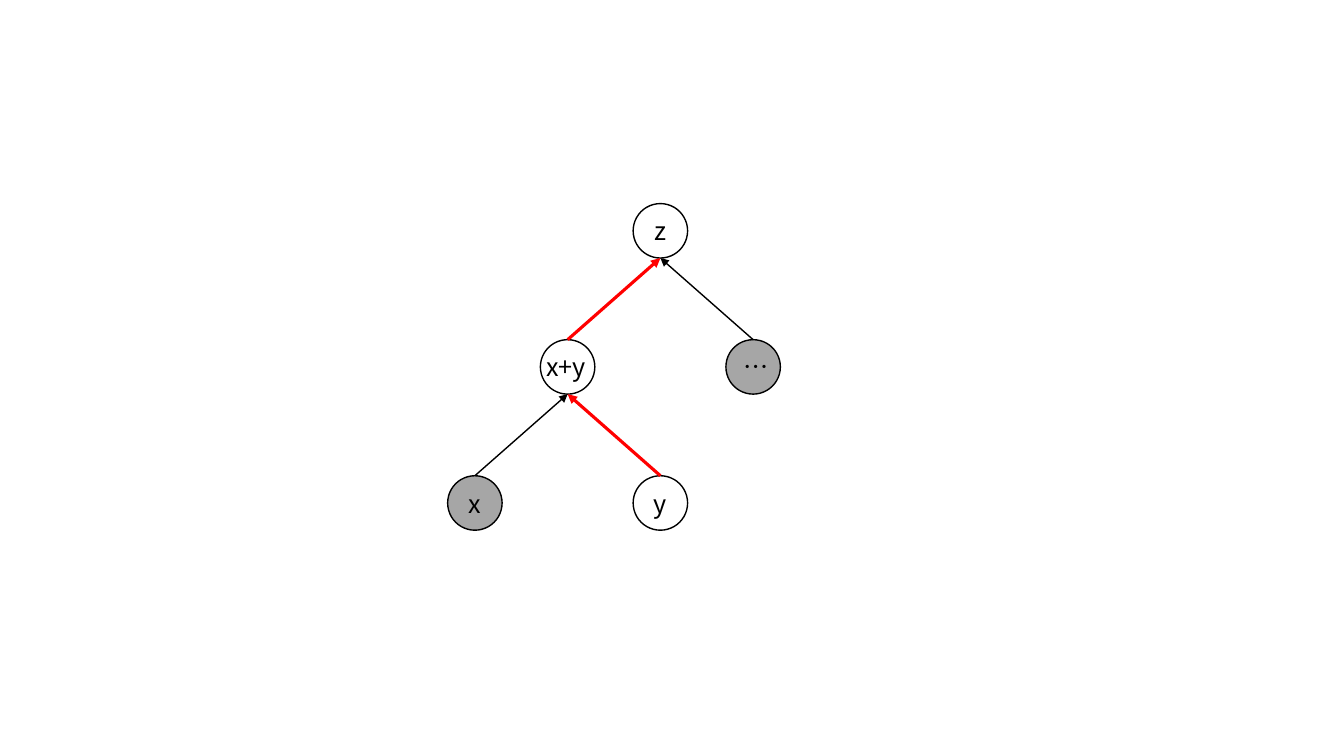
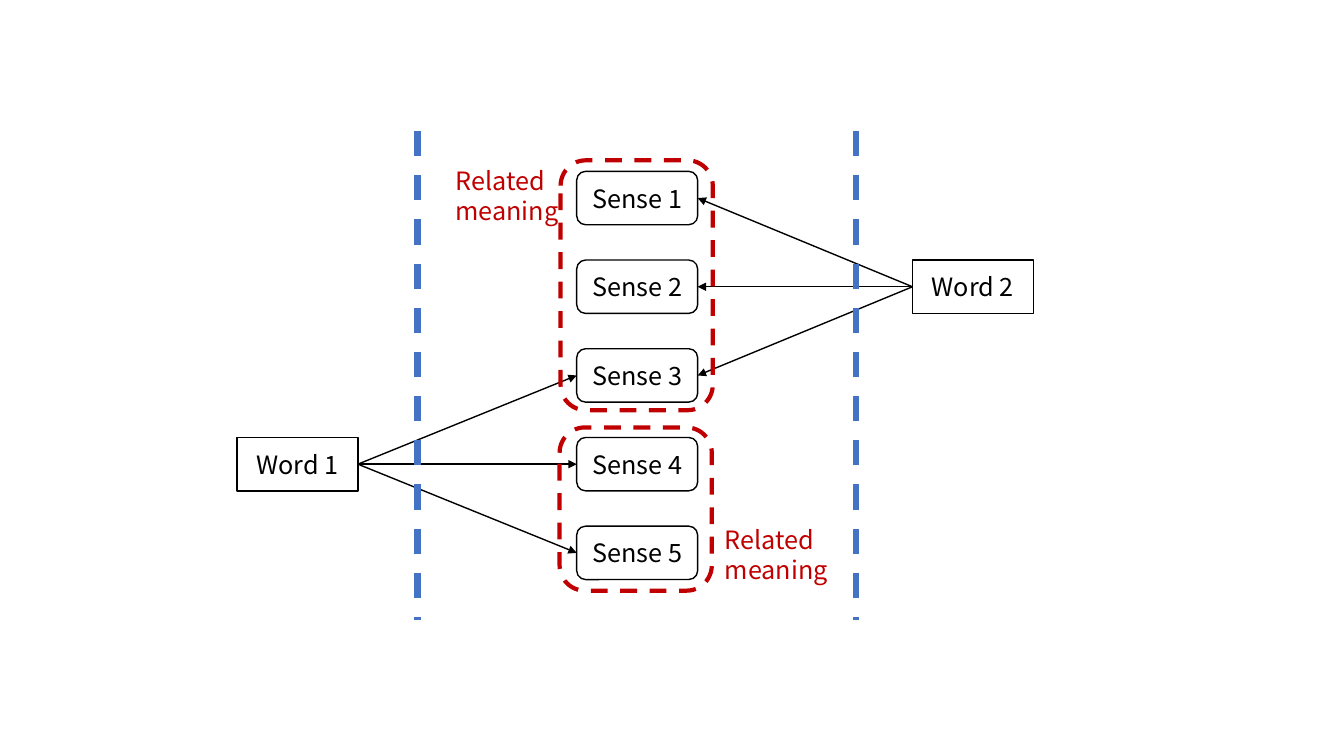
from dataclasses import dataclass

from pptx import Presentation
from pptx.dml.color import RGBColor
from pptx.enum.dml import MSO_LINE
from pptx.enum.shapes import MSO_CONNECTOR, MSO_SHAPE
from pptx.enum.text import MSO_ANCHOR, PP_ALIGN
from pptx.oxml.ns import qn
from pptx.oxml.xmlchemy import OxmlElement
from pptx.util import Inches, Pt

FONT = "Noto Sans CJK KR"
BLACK, WHITE, GRAY = "000000", "FFFFFF", "A6A6A6"
RED, DARK_RED, BLUE = "FF0000", "C00000", "4472C4"
TOP, LEFT, BOTTOM, RIGHT = range(4)

NODE_SIZE = 0.54
TREE_LEFT, TREE_TOP = 4.44, 2.02
TREE_COLUMN, TREE_ROW = 0.92, 1.35

BOX_WIDTH, BOX_HEIGHT = 1.2, 0.53
WORD_1_LEFT, SENSE_LEFT, WORD_2_LEFT = 2.35, 5.72, 9.05
SENSE_TOP, SENSE_ROW = 1.7, 0.88


@dataclass(frozen=True)
class Node:
    text: str
    column: int
    row: int
    fill: str = WHITE


@dataclass(frozen=True)
class Edge:
    child: str
    parent: str
    color: str = BLACK
    width: float = 1


@dataclass(frozen=True)
class Word:
    text: str
    left: float
    row: int
    side: int
    senses: range


@dataclass(frozen=True)
class MeaningGroup:
    frame: tuple[float, float, float, float]
    label_left: float
    label_top: float


NODES = [
    Node("x", 0, 2, GRAY),
    Node("y", 2, 2),
    Node("x+y", 1, 1),
    Node("z", 2, 0),
    Node("…", 3, 1, GRAY),
]
EDGES = [
    Edge("x", "x+y"),
    Edge("y", "x+y", RED, 2.25),
    Edge("x+y", "z", RED, 2.25),
    Edge("…", "z"),
]
WORDS = [
    Word("Word 1", WORD_1_LEFT, 3, RIGHT, range(2, 5)),
    Word("Word 2", WORD_2_LEFT, 1, LEFT, range(0, 3)),
]
MEANING_GROUPS = [
    MeaningGroup((5.56, 1.59, 1.51, 2.48), 4.42, 1.59),
    MeaningGroup((5.55, 4.24, 1.51, 1.62), 7.09, 5.15),
]
DIVIDERS = [4.14, 8.49]


def color_of(value: str) -> RGBColor:
    return RGBColor.from_string(value)


def style_line(line, color: str, width: float, dashed: bool = False) -> None:
    line.color.rgb = color_of(color)
    line.width = Pt(width)
    if dashed:
        line.dash_style = MSO_LINE.DASH


def write(text_frame, text: str, color: str = BLACK, alignment=PP_ALIGN.LEFT) -> None:
    paragraph = text_frame.paragraphs[0]
    paragraph.text = text
    paragraph.alignment = alignment
    paragraph.font.size = Pt(18)
    paragraph.font.name = FONT
    paragraph.font.color.rgb = color_of(color)
    east_asian = OxmlElement("a:ea")
    east_asian.set("typeface", FONT)
    paragraph._p.pPr.find(qn("a:defRPr")).append(east_asian)


def add_box(slide, kind, left: float, top: float, width: float, height: float,
            text: str = "", fill: str | None = WHITE, line: str = BLACK,
            line_width: float = 1, dashed: bool = False):
    shape = slide.shapes.add_shape(
        kind, Inches(left), Inches(top), Inches(width), Inches(height))
    shape.shadow.inherit = False
    if fill:
        shape.fill.solid()
        shape.fill.fore_color.rgb = color_of(fill)
    else:
        shape.fill.background()
    style_line(shape.line, line, line_width, dashed)
    if text:
        shape.text_frame.vertical_anchor = MSO_ANCHOR.MIDDLE
        write(shape.text_frame, text, alignment=PP_ALIGN.CENTER)
    return shape


def add_label(slide, text: str, left: float, top: float, width: float, height: float,
              color: str = BLACK, wrap: bool = True) -> None:
    label = slide.shapes.add_textbox(
        Inches(left), Inches(top), Inches(width), Inches(height))
    label.text_frame.word_wrap = wrap
    write(label.text_frame, text, color)


def add_line(slide, color: str, width: float, start=(0, 0), end=(0, 0),
             arrow: bool = False, dashed: bool = False):
    connector = slide.shapes.add_connector(MSO_CONNECTOR.STRAIGHT, *start, *end)
    style_line(connector.line, color, width, dashed)
    properties = connector._element.spPr
    if arrow:
        arrowhead = OxmlElement("a:tailEnd")
        arrowhead.set("type", "triangle")
        properties.find(qn("a:ln")).append(arrowhead)
    properties.append(OxmlElement("a:effectLst"))
    return connector


def draw_tree(slide) -> None:
    circles = {}
    for node in NODES:
        left = TREE_LEFT + node.column * TREE_COLUMN
        top = TREE_TOP + node.row * TREE_ROW
        wide = len(node.text) > 1
        circles[node.text] = add_box(
            slide, MSO_SHAPE.OVAL, left, top, NODE_SIZE, NODE_SIZE,
            "" if wide else node.text, node.fill)
        if wide:
            add_label(slide, node.text, left - 0.04, top + 0.07, 0.62, 0.4, wrap=False)
    for edge in EDGES:
        child, parent = circles[edge.child], circles[edge.parent]
        start = (child.left + child.width // 2, child.top)
        end = (parent.left + parent.width // 2, parent.top + parent.height)
        connector = add_line(slide, edge.color, edge.width, start, end, arrow=True)
        connector.begin_connect(child, TOP)


def draw_senses(slide) -> None:
    def add_row_box(kind, left: float, row: int, text: str):
        return add_box(slide, kind, left, SENSE_TOP + row * SENSE_ROW,
                       BOX_WIDTH, BOX_HEIGHT, text)

    senses = [
        add_row_box(MSO_SHAPE.ROUNDED_RECTANGLE, SENSE_LEFT, row, f"Sense {row + 1}")
        for row in range(5)
    ]
    for word in WORDS:
        box = add_row_box(MSO_SHAPE.RECTANGLE, word.left, word.row, word.text)
        for sense in word.senses:
            connector = add_line(slide, BLACK, 1, arrow=True)
            connector.begin_connect(box, word.side)
            connector.end_connect(senses[sense], LEFT if word.side == RIGHT else RIGHT)
    for group in MEANING_GROUPS:
        add_box(slide, MSO_SHAPE.ROUNDED_RECTANGLE, *group.frame,
                fill=None, line=DARK_RED, line_width=3, dashed=True)
        add_label(slide, "Related \nmeaning", group.label_left, group.label_top,
                  1.24, 0.71, DARK_RED)
    for position in DIVIDERS:
        add_line(slide, BLUE, 4.5, (Inches(position), Inches(1.3)),
                 (Inches(position), Inches(6.15)), dashed=True)


def main() -> None:
    presentation = Presentation()
    presentation.slide_width = Inches(13.33)
    presentation.slide_height = Inches(7.5)
    blank_layout = presentation.slide_layouts[6]
    for draw in (draw_tree, draw_senses):
        draw(presentation.slides.add_slide(blank_layout))
    presentation.save("out.pptx")


if __name__ == "__main__":
    main()
